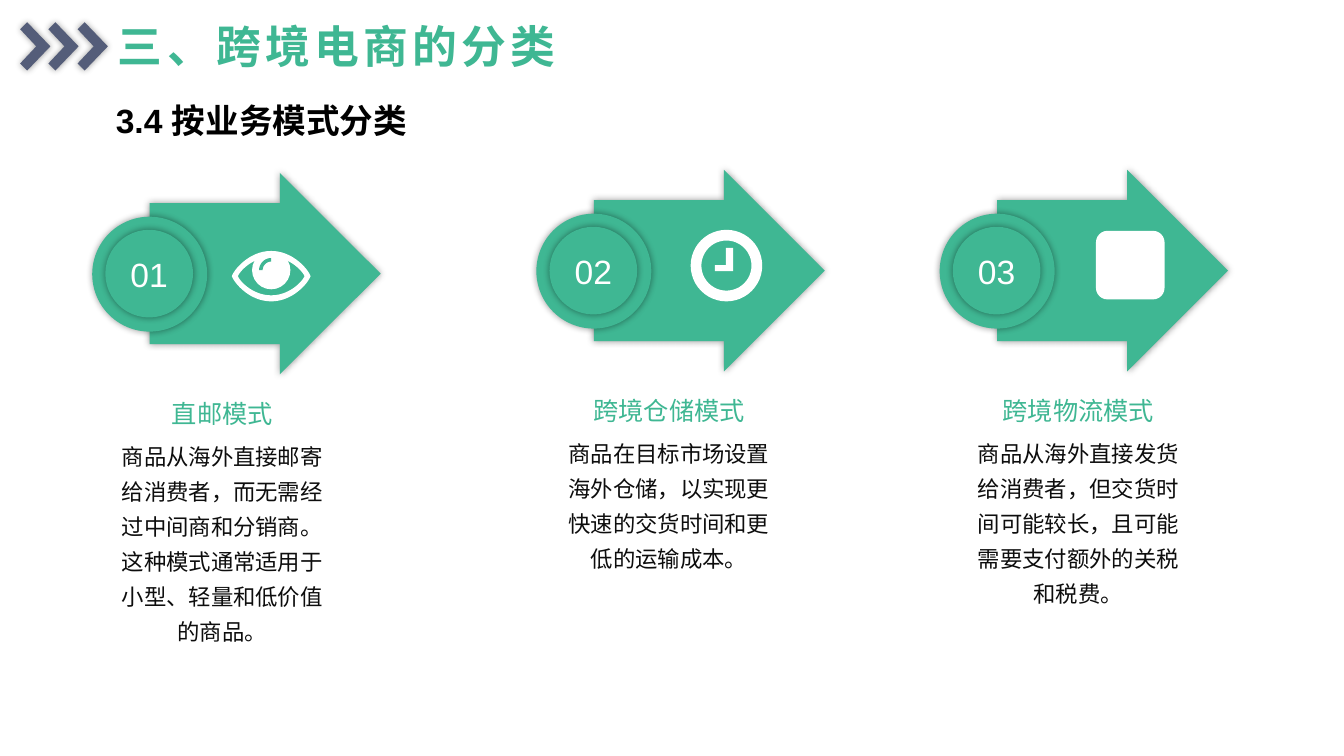
from math import cos, pi, sin

from lxml import etree
from pptx import Presentation
from pptx import util as u
from pptx.dml.color import RGBColor
from pptx.enum import shapes, text
from pptx.oxml.ns import qn

COLORS = {"green": "3FB793", "slate": "545D79", "white": "FFFFFF",
          "black": "000000", "ink": "0D0D0D"}
CELL = u.Inches(0.01)

deck = Presentation()
deck.slide_width, deck.slide_height = 1333 * CELL, 750 * CELL
page = deck.slides.add_slide(deck.slide_layouts[5])


def paint(shape, color, glow=False):
    shape.shadow.inherit = False
    shape.fill.solid()
    shape.fill.fore_color.rgb = RGBColor.from_string(COLORS[color])
    shape.line.fill.background()
    if glow:
        effects = shape.element.spPr.find(qn("a:effectLst"))
        shadow = etree.SubElement(effects, qn("a:outerShdw"), blurRad=str(u.Pt(5)),
                                  dist="0", dir="0", algn="ctr", rotWithShape="0")
        tint = etree.SubElement(shadow, qn("a:srgbClr"), val=COLORS["black"])
        etree.SubElement(tint, qn("a:alpha"), val="40000")
    return shape


def outline(left, top, contours, color, glow=False):
    builder = None
    for contour in contours:
        points = [((left + x) * CELL, (top + y) * CELL) for x, y in contour]
        if builder is None:
            builder = page.shapes.build_freeform(*points[0], scale=1.0)
        else:
            builder.move_to(*points[0])
        builder.add_line_segments(points[1:], close=True)
    return paint(builder.convert_to_shape(), color, glow)


chevron = [(0, 7), (7, 0), (30, 24), (7, 48), (0, 41), (16, 24)]
for left in (20, 48, 77):
    outline(left, 22, [chevron], "slate", True)

title = page.shapes.title
title.left, title.top, title.width, title.height = (n * CELL for n in (107, 14, 462, 64))
subtitle = page.shapes.add_textbox(*(n * CELL for n in (105, 94, 388, 50)))
for box, words, size, color in ((title, "三、跨境电商的分类", 32, "green"),
                                (subtitle, "3.4 按业务模式分类", 24, "black")):
    frame = box.text_frame
    frame.text = words
    frame.word_wrap = box is subtitle
    frame.auto_size = text.MSO_AUTO_SIZE.NONE
    frame.vertical_anchor = text.MSO_ANCHOR.TOP
    para = frame.paragraphs[0]
    para.alignment = text.PP_ALIGN.LEFT
    para.font.name, para.font.size, para.font.bold = "Arial", u.Pt(size), True
    para.font.color.rgb = RGBColor.from_string(COLORS[color])
title.text_frame.paragraphs[0].runs[0].font._element.set("spc", "300")

arrow = [(0, 30), (129, 30), (129, 0), (229, 100), (129, 200), (129, 170), (0, 170)]
modes = [
    (91.5, 171.5, 114.5, "直邮模式",
     "商品从海外直接邮寄给消费者，而无需经过中间商和分销商。这种模式通常适用于小型、轻量和低价值的商品。"),
    (532, 168.5, 557.5, "跨境仓储模式",
     "商品在目标市场设置海外仓储，以实现更快速的交货时间和更低的运输成本。"),
    (932, 168.5, 963.5, "跨境物流模式",
     "商品从海外直接发货给消费者，但交货时间可能较长，且可能需要支付额外的关税和税费。"),
]
for number, (left, top, text_left, heading, body) in enumerate(modes, 1):
    outline(left + 57, top, [arrow], "green", True)
    for inset, size in ((0, 114), (13, 87)):
        disc = page.shapes.add_shape(
            shapes.MSO_SHAPE.OVAL, int((left + inset) * CELL),
            int((top + 43.5 + inset) * CELL), size * CELL, size * CELL)
        paint(disc, "green", True)
    frame = disc.text_frame
    frame.text = f"{number:02}"
    frame.word_wrap = False
    frame.vertical_anchor = text.MSO_ANCHOR.MIDDLE
    para = frame.paragraphs[0]
    para.alignment = text.PP_ALIGN.CENTER
    para.font.name, para.font.size = "Arial", u.Pt(24)
    para.font.color.rgb = RGBColor.from_string(COLORS["white"])

    for words, drop, height, size, color, spacing in (
            (heading, 223.5, 30, 18, "green", 1.0), (body, 260.5, 207, 16, "ink", 1.3)):
        box = page.shapes.add_textbox(int(text_left * CELL), int((top + drop) * CELL),
                                      212 * CELL, height * CELL)
        frame = box.text_frame
        frame.text = words
        frame.word_wrap = True
        frame.margin_left = frame.margin_right = frame.margin_top = frame.margin_bottom = 0
        para = frame.paragraphs[0]
        para.alignment, para.line_spacing = text.PP_ALIGN.CENTER, spacing
        para.font.name, para.font.size = "Arial", u.Pt(size)
        para.font.color.rgb = RGBColor.from_string(COLORS[color])

turns = [pi * step / 40 for step in range(80)]
lids = [[(wide * cos(turn), tall * sin(turn) * abs(sin(turn)) ** 0.6) for turn in turns]
        for wide, tall in ((39, 25), (33, 19))]
outline(269, 274, lids, "white")
pupil = page.shapes.add_shape(shapes.MSO_SHAPE.OVAL, 250 * CELL, 249 * CELL,
                              38 * CELL, 38 * CELL)
paint(pupil, "white")
quarter = [pi + pi * step / 20 for step in range(11)]
glint = [(radius * cos(turn), radius * sin(turn))
         for radius, sweep in ((12, quarter), (8.5, quarter[::-1])) for turn in sweep]
outline(269, 268, [glint], "green")

clock = page.shapes.add_shape(shapes.MSO_SHAPE.DONUT, 685 * CELL, 228 * CELL,
                              71 * CELL, 71 * CELL)
clock.adjustments[0] = 0.15
paint(clock, "white")
hands = [(11, 0), (18, 0), (18, 23), (0, 23), (0, 17), (11, 17)]
outline(709, 246, [hands], "white")

marker = page.shapes.add_shape(shapes.MSO_SHAPE.ROUNDED_RECTANGLE, 1087 * CELL, 229 * CELL,
                               68 * CELL, 68 * CELL)
paint(marker, "white")

deck.save("out.pptx")
